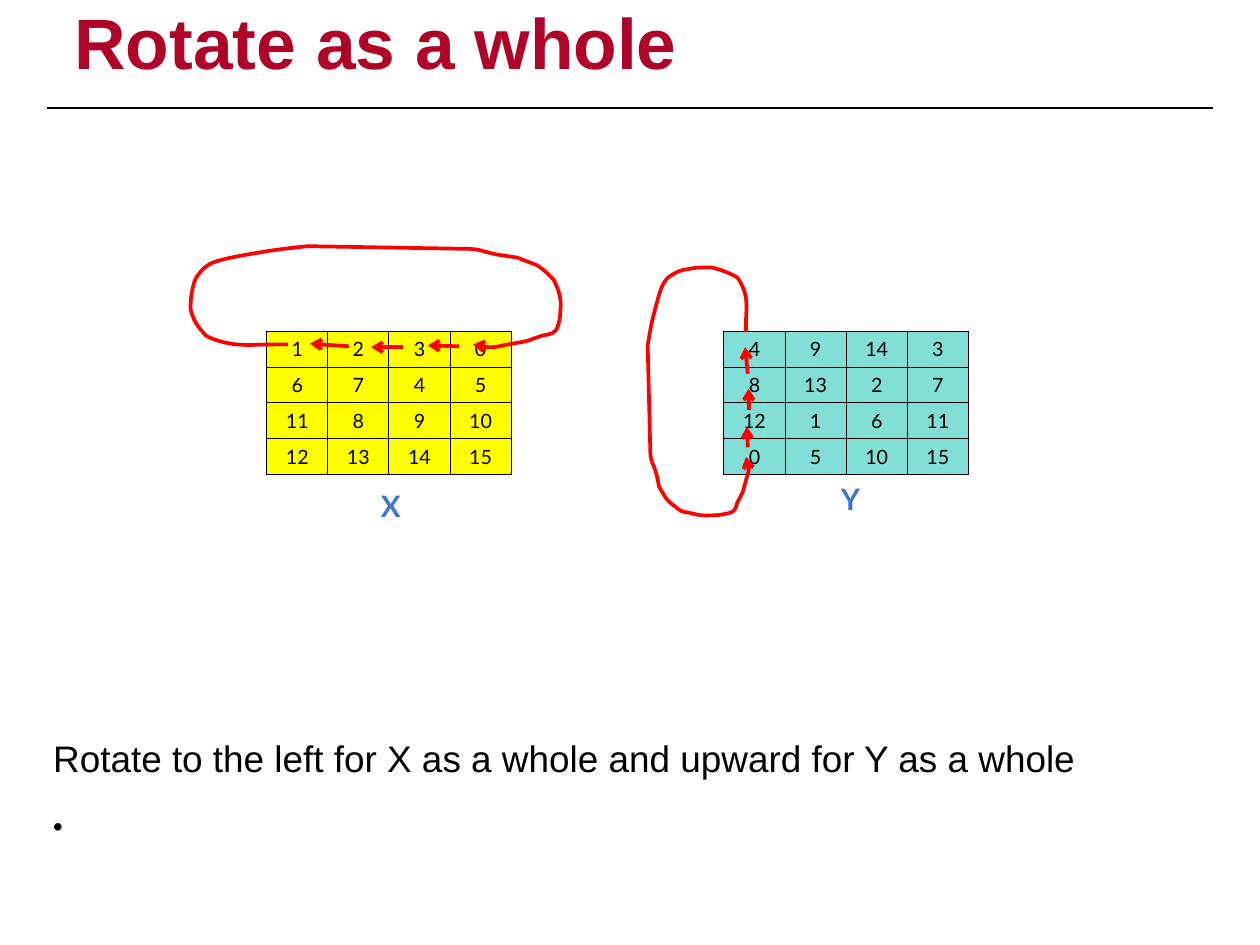
import pptx
import pptx.util
import pptx.dml.color
import pptx.enum.text
import pptx.enum.shapes
import pptx.oxml
import pptx.oxml.ns

STEP = 9144
COLS, ROWS = 1422, 1067
CELL_W, CELL_H = 69, 40.5
RED, BLACK, BLUE = "FF0000", "000000", "3E74D1"

X_CELLS = [[1, 2, 3, 0], [6, 7, 4, 5], [11, 8, 9, 10], [12, 13, 14, 15]]
Y_CELLS = [[4, 9, 14, 3], [8, 13, 2, 7], [12, 1, 6, 11], [0, 5, 10, 15]]

X_LOOP = [
    (325, 389), (286, 388, 267, 394, 236, 381), (233, 380, 231, 378, 229, 375),
    (225, 371, 222, 366, 219, 361), (218, 357, 215, 352, 215, 348),
    (215, 339, 216, 331, 218, 323), (220, 314, 224, 309, 230, 303),
    (233, 301, 235, 299, 237, 298), (247, 293, 266, 290, 276, 288),
    (311, 282, 311, 282, 347, 278), (525, 281), (544, 281, 542, 284, 564, 288),
    (571, 289, 578, 290, 584, 291), (606, 300, 605, 297, 618, 309),
    (620, 311, 622, 313, 625, 316), (626, 319, 628, 322, 629, 325),
    (632, 333, 632, 336, 633, 343), (632, 351, 633, 359, 630, 367),
    (627, 378, 621, 377, 612, 379), (588, 387, 602, 384, 573, 389),
    (567, 390, 561, 392, 555, 392), (548, 392, 541, 390, 534, 389),
]
Y_LOOP = [
    (842, 375), (841, 349, 847, 337, 834, 316), (833, 314, 831, 312, 828, 311),
    (824, 309, 819, 307, 814, 305), (810, 304, 805, 302, 801, 302),
    (792, 302, 784, 302, 776, 304), (767, 305, 762, 308, 756, 312),
    (754, 313, 752, 315, 751, 317), (746, 323, 743, 336, 741, 343),
    (735, 366, 735, 366, 731, 390), (734, 510), (734, 522, 737, 521, 741, 536),
    (742, 540, 743, 545, 744, 550), (753, 564, 750, 563, 762, 572),
    (764, 574, 766, 575, 769, 577), (772, 578, 775, 579, 778, 579),
    (786, 581, 789, 582, 796, 582), (804, 582, 812, 582, 820, 580),
    (831, 578, 830, 574, 832, 568), (840, 552, 837, 561, 842, 542),
    (843, 538, 845, 534, 845, 530), (845, 525, 843, 521, 842, 516),
]
ARROWS = [
    (394, 391, 350, 388), (455, 392, 419, 392), (518, 391, 483, 390),
    (844, 422, 841, 392), (845, 463, 845, 439), (844, 505, 843, 482),
]


def tint(code):
    return pptx.dml.color.RGBColor.from_string(code)


def node(tag, inner=""):
    name = tag.split()[0]
    return pptx.oxml.parse_xml(
        f'<a:{tag} {pptx.oxml.ns.nsdecls("a")}>{inner}</a:{name}>')


class Board:
    """Draws styled parts on one slide, with lengths in grid steps."""

    def __init__(self, deck):
        self.slide = deck.slides.add_slide(deck.slide_layouts[6])
        self.shapes = self.slide.shapes

    def span(self, *marks):
        return [round(m * STEP) for m in marks]

    def style(self, para, size, font, color, bold=False):
        for run in para.runs:
            run.font.size = pptx.util.Pt(size)
            run.font.name = font
            run.font.bold = bold
            run.font.color.rgb = tint(color)

    def text(self, box, words, size, font, color, bold=False, inset=6, wrap=True):
        frame = self.shapes.add_textbox(*self.span(*box)).text_frame
        frame.word_wrap = wrap
        if inset is not None:
            frame.margin_left = frame.margin_right = inset * STEP
            frame.margin_top = frame.margin_bottom = inset * STEP
        frame.text = words
        self.style(frame.paragraphs[0], size, font, color, bold)
        return frame

    def bullet(self, para, mark, share, indent):
        props = para._p.get_or_add_pPr()
        props.set("marL", str(indent * STEP))
        props.set("indent", str(-indent * STEP))
        props.append(node(f'buSzPct val="{share * 1000}"'))
        props.append(node('buFont typeface="Arial"'))
        props.append(node(f'buChar char="{mark}"'))

    def stroke(self, line, color, width, arrow=True):
        line.color.rgb = tint(color)
        line.width = pptx.util.Pt(width)
        if arrow:
            edge = line._get_or_add_ln()
            edge.append(node("round"))
            edge.append(node('tailEnd type="arrow"'))

    def line(self, ends, color, width, arrow=True):
        link = self.shapes.add_connector(
            pptx.enum.shapes.MSO_CONNECTOR.STRAIGHT, *self.span(*ends))
        self.stroke(link.line, color, width, arrow)
        link._element.spPr.append(node("effectLst"))

    def loop(self, parts, color, width):
        knots = [self.span(*part[-2:]) for part in parts]
        pen = self.shapes.build_freeform(*knots[0])
        pen.add_line_segments(knots[1:], close=False)
        curve = pen.convert_to_shape()
        legs = curve._element.findall(".//" + pptx.oxml.ns.qn("a:lnTo"))
        for leg, part in zip(legs, parts[1:]):
            if len(part) == 6:
                marks = self.span(*part)
                dots = "".join(f'<a:pt x="{x - curve.left}" y="{y - curve.top}"/>'
                               for x, y in zip(marks[::2], marks[1::2]))
                leg.getparent().replace(leg, node("cubicBezTo", dots))
        curve.shadow.inherit = False
        curve.fill.background()
        self.stroke(curve.line, color, width)

    def table(self, left, top, cells, fill):
        rows, cols = len(cells), len(cells[0])
        grid = self.shapes.add_table(
            rows, cols, *self.span(left, top, cols * CELL_W, rows * CELL_H)).table
        grid.first_row = grid.horz_banding = False
        ink = f'<a:solidFill><a:srgbClr val="{BLACK}"/></a:solidFill>'
        for r, row in enumerate(cells):
            for c, value in enumerate(row):
                cell = grid.cell(r, c)
                cell.text = str(value)
                cell.vertical_anchor = pptx.enum.text.MSO_ANCHOR.MIDDLE
                para = cell.text_frame.paragraphs[0]
                para.alignment = pptx.enum.text.PP_ALIGN.CENTER
                self.style(para, 16, "Lato", BLACK)
                props = cell._tc.get_or_add_tcPr()
                for side in "LRTB":
                    props.append(node(f'ln{side} w="12700"', ink))
                cell.fill.solid()
                cell.fill.fore_color.rgb = tint(fill)


def main():
    deck = pptx.Presentation()
    deck.slide_width, deck.slide_height = COLS * STEP, ROWS * STEP
    board = Board(deck)

    board.line((53, 122, 1369, 122), BLACK, 2.25, arrow=False)
    title = board.text((78, 19, 1267, 93), "Rotate as a whole", 58, "Arial", "AE0428", True)
    title.vertical_anchor = pptx.enum.text.MSO_ANCHOR.MIDDLE
    title.margin_bottom = 20 * STEP
    title.paragraphs[0].line_spacing = 0.7

    body = board.text((54, 825, 1314, 164),
                      "Rotate to the left for X as a whole and upward for Y as a whole",
                      30, "Arial", BLACK)
    note = body.paragraphs[0]
    note.runs[0].text += "\n"
    note.space_before = pptx.util.Pt(20)
    board.bullet(note, "•", 75, 46)

    board.table(817, 374, Y_CELLS, "82DFD7")
    board.table(301, 374, X_CELLS, "FFFF00")
    for parts in (X_LOOP, Y_LOOP):
        board.loop(parts, RED, 3)
    for ends in ARROWS:
        board.line(ends, RED, 3)
    for box, name in (((420, 546, 39, 50), "X"), ((939, 538, 38, 50), "Y")):
        board.text(box, name, 24, "Lato", BLUE, True, inset=None, wrap=False)

    deck.save("out.pptx")


if __name__ == "__main__":
    main()
